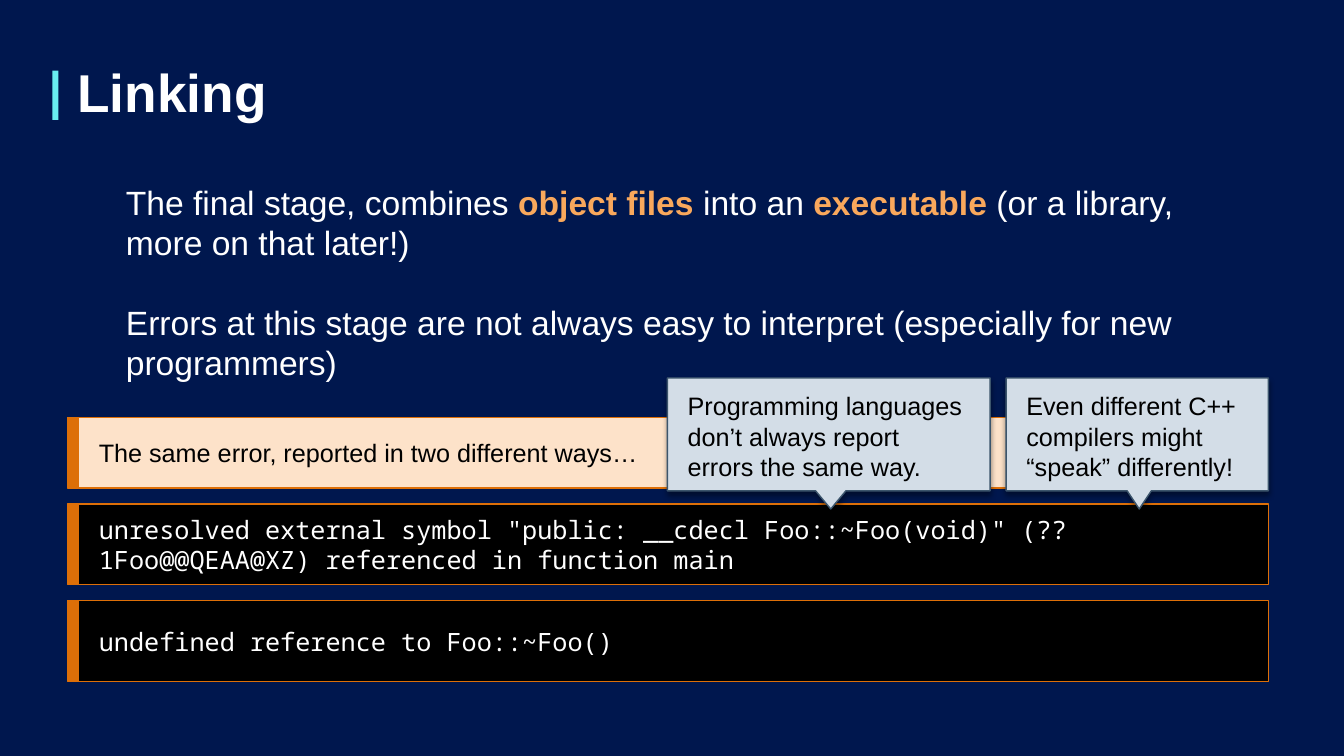
from lxml import etree
from pptx import Presentation
from pptx.dml.color import RGBColor
from pptx.enum.shapes import MSO_SHAPE as SHAPE
from pptx.enum.text import MSO_ANCHOR as ANCHOR, PP_ALIGN as ALIGN
from pptx.oxml import parse_xml
from pptx.oxml.ns import nsdecls
from pptx.util import Inches, Pt

NAVY = RGBColor(0x00, 0x17, 0x4E)
CYAN = RGBColor(0x69, 0xEE, 0xF0)
WHITE = RGBColor(0xFF, 0xFF, 0xFF)
BLACK = RGBColor(0x00, 0x00, 0x00)
AMBER = RGBColor(0xF9, 0xA8, 0x5C)
ORANGE = RGBColor(0xDD, 0x6F, 0x08)
PEACH = RGBColor(0xFD, 0xE2, 0xC9)
MIST = RGBColor(0xD3, 0xDD, 0xE7)
SLATE = RGBColor(0x3C, 0x55, 0x6C)
SANS = "Arial"
MONO = "Noto Sans Mono"

SHADOW = (
    f'<a:effectLst {nsdecls("a")}>'
    f'<a:outerShdw blurRad="{Pt(4)}" dist="{Pt(3)}" dir="5400000" algn="t" rotWithShape="0">'
    '<a:srgbClr val="000000"><a:alpha val="40000"/></a:srgbClr>'
    '</a:outerShdw></a:effectLst>'
)


def style_shape(sp, fill, line=None):
    sp.shadow.inherit = False
    sp.fill.solid()
    sp.fill.fore_color.rgb = fill
    if line is None:
        sp.line.fill.background()
    else:
        sp.line.color.rgb = line
        sp.line.width = Pt(1)


def add_rect(slide, x, y, w, h, fill, line=None):
    sp = slide.shapes.add_shape(SHAPE.RECTANGLE, Inches(x), Inches(y), Inches(w), Inches(h))
    style_shape(sp, fill, line)
    return sp


def write_text(sp, runs, size, color, font=SANS, anchor=ANCHOR.MIDDLE, insets=(0.1, 0.05, 0.1, 0.05)):
    tf = sp.text_frame
    tf.word_wrap = True
    tf.vertical_anchor = anchor
    tf.margin_left, tf.margin_top, tf.margin_right, tf.margin_bottom = map(Inches, insets)
    p = tf.paragraphs[0]
    p.alignment = ALIGN.LEFT
    p.font.name = font
    p.font.size = Pt(size)
    p.font.color.rgb = color
    for text, highlighted in runs:
        r = p.add_run()
        r.text = text
        if highlighted:
            r.font.bold = True
            r.font.color.rgb = AMBER
    return p


def add_title(slide, x, y, w, h, text):
    add_rect(slide, x - 0.15, y + 0.09, 0.06, h - 0.19, CYAN)
    sp = slide.shapes.add_textbox(Inches(x), Inches(y), Inches(w), Inches(h))
    p = write_text(sp, [(text, False)], 38, WHITE, anchor=ANCHOR.TOP)
    p.font.bold = True
    p.line_spacing = 0.9


def add_statement(slide, x, y, w, h, runs):
    sp = slide.shapes.add_textbox(Inches(x), Inches(y), Inches(w), Inches(h))
    write_text(sp, runs, 24, WHITE)


def add_panel(slide, x, y, w, h, text, fill, color, font):
    bar = 0.11
    sp = add_rect(slide, x + bar, y, w - bar, h, fill, ORANGE)
    write_text(sp, [(text, False)], 18, color, font, insets=(0.2,) * 4)
    add_rect(slide, x, y, bar, h, ORANGE, ORANGE)


def add_callout(slide, x, y, w, h, text, tip, half):
    body = y + h - 0.18
    outline = [
        (x + w, y), (x + w, body), (tip + half, body), (tip, y + h),
        (tip - half, body), (x, body),
    ]
    builder = slide.shapes.build_freeform(Inches(x), Inches(y))
    builder.add_line_segments([(Inches(px), Inches(py)) for px, py in outline], close=True)
    sp = builder.convert_to_shape()
    style_shape(sp, MIST, SLATE)
    props = sp.element.spPr
    props.replace(props.find("{*}effectLst"), parse_xml(SHADOW))
    write_text(sp, [(text, False)], 18, BLACK, insets=(0.2, 0.1, 0.2, 0.25))


def build_linking(prs):
    slide = prs.slides.add_slide(prs.slide_layouts[6])
    slide.background.fill.solid()
    slide.background.fill.fore_color.rgb = NAVY

    add_title(slide, 0.67, 0.61, 11.9, 0.68, "Linking")

    statements = [
        [("The final stage, combines ", False), ("object files ", True), ("into an ", False),
         ("executable", True), (" (or a library, more on that later!)", False)],
        [("Errors at this stage are not always easy to interpret "
          "(especially for new programmers)", False)],
    ]
    for i, runs in enumerate(statements):
        add_statement(slide, 1.15, 1.75 + 1.19 * i, 11.42, 0.91, runs)

    panels = [
        (0.7, "The same error, reported in two different ways…", PEACH, BLACK, SANS),
        (0.8, 'unresolved external symbol "public: __cdecl Foo::~Foo(void)" '
              "(??1Foo@@QEAA@XZ) referenced in function main", BLACK, WHITE, MONO),
        (0.8, "undefined reference to Foo::~Foo()", BLACK, WHITE, MONO),
    ]
    y = 4.14
    for h, text, fill, color, font in panels:
        add_panel(slide, 0.67, y, 11.91, h, text, fill, color, font)
        y += h + 0.16

    callouts = [
        (6.62, 3.2, "Programming languages don’t always report errors the same way.", 8.24, 0.15),
        (9.98, 2.6, "Even different C++ compilers might “speak” differently!", 11.3, 0.12),
    ]
    for x, w, text, tip, half in callouts:
        add_callout(slide, x, 3.75, w, 1.3, text, tip, half)


def main():
    prs = Presentation()
    prs.slide_width = Inches(13.33)
    prs.slide_height = Inches(7.5)
    build_linking(prs)
    prs.save("out.pptx")


if __name__ == "__main__":
    main()
